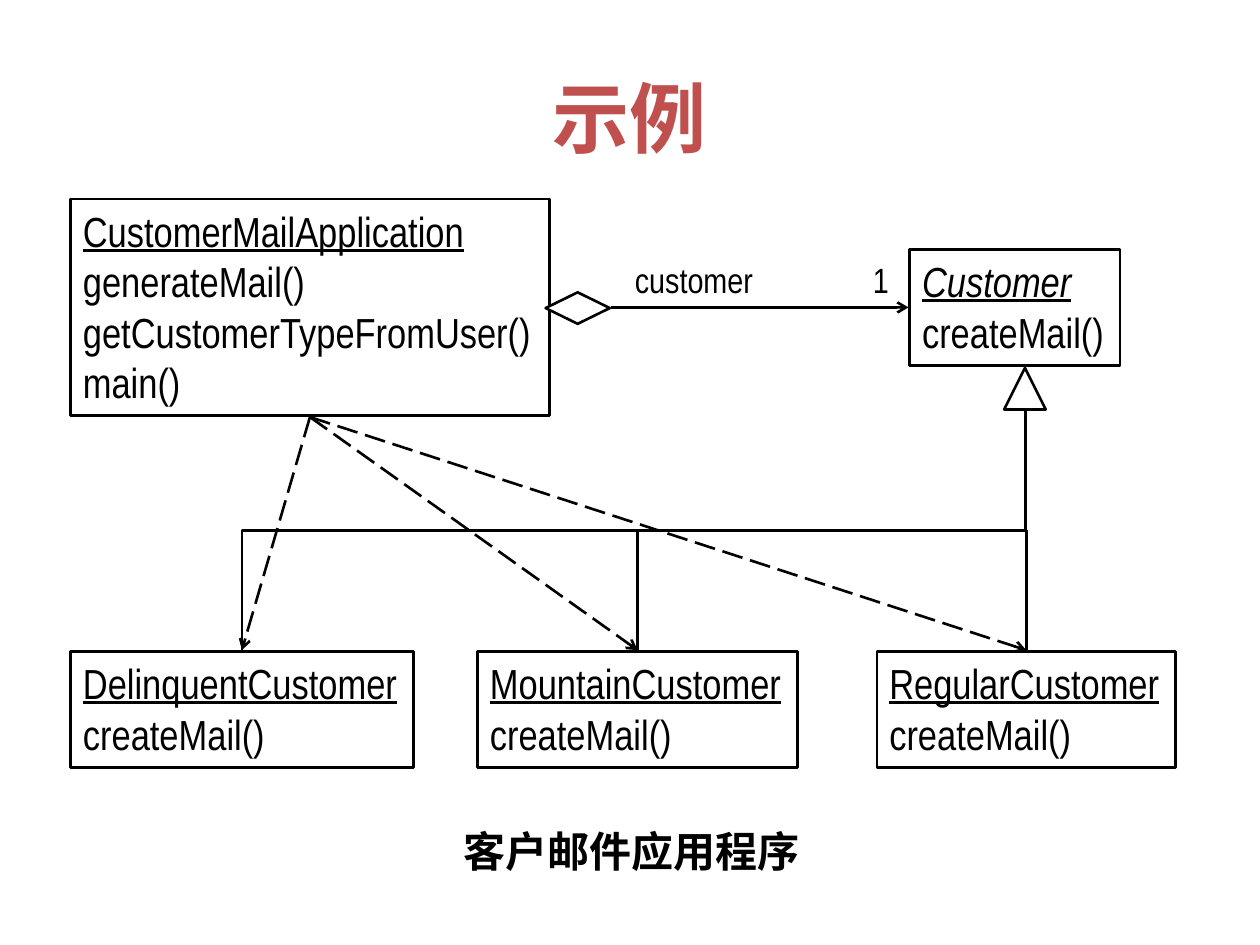
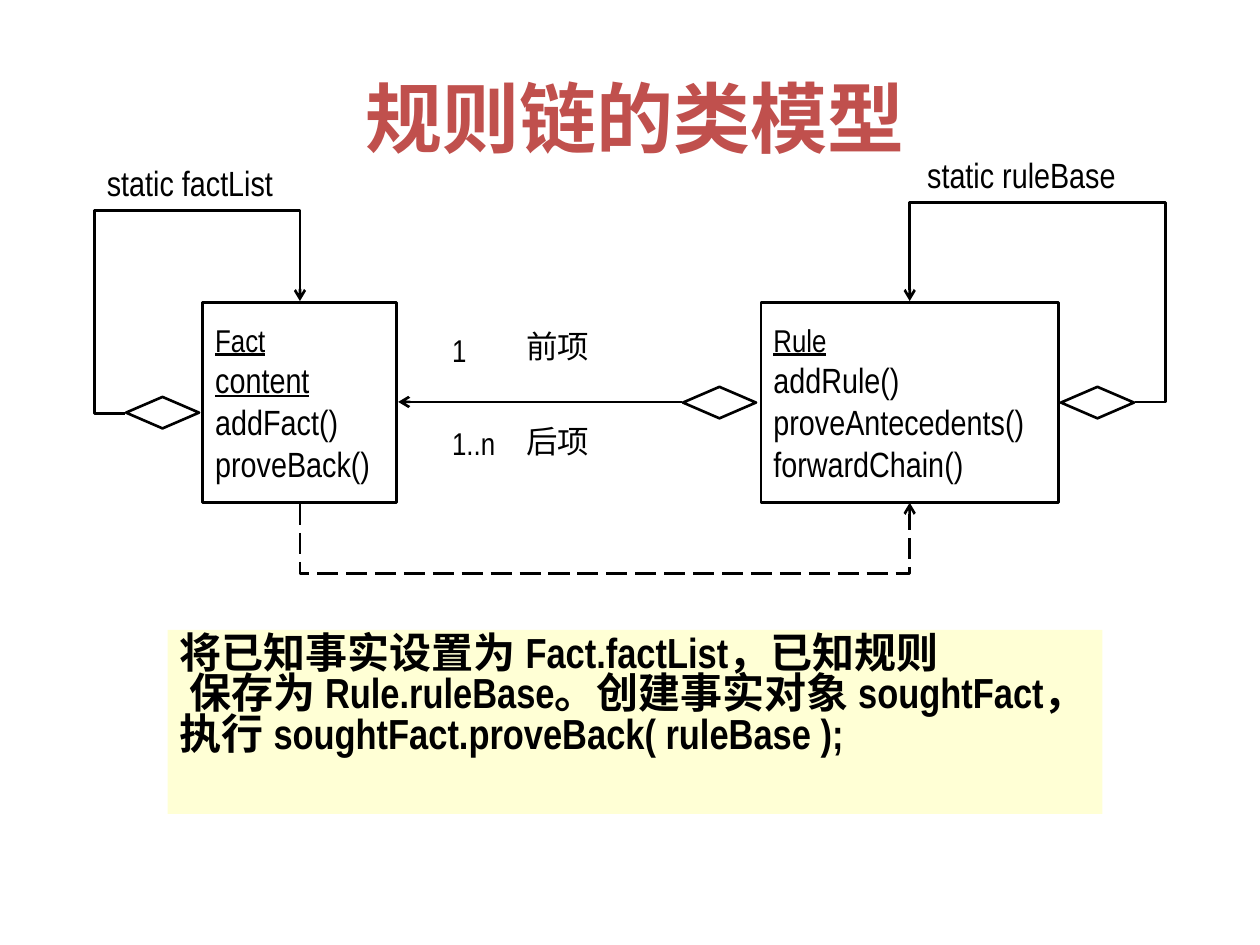
import pptx
import pptx.util
import pptx.dml.color
import pptx.enum.dml
import pptx.enum.shapes
import pptx.enum.text
import pptx.oxml.ns
import pptx.oxml.xmlchemy

Inches = pptx.util.Inches
Shape = pptx.enum.shapes.MSO_SHAPE
Connector = pptx.enum.shapes.MSO_CONNECTOR
Anchor = pptx.enum.text.MSO_ANCHOR
qn = pptx.oxml.ns.qn
new_element = pptx.oxml.xmlchemy.OxmlElement

COLORS = {"title": "C0504D", "ink": "000000", "paper": "FFFFFF", "note": "FFFFD5"}
NARROW = "Arial Narrow"
LINE_WIDTH = 1.5

MAIL_TITLE = ("示例", 9)
MAIL_APPLICATION = (
    (0.56, 1.58, 3.8, 1.72),
    ["CustomerMailApplication", "generateMail()", "getCustomerTypeFromUser()", "main()"],
)
CUSTOMER = ((7.22, 1.98, 1.67, 0.92), ["Customer", "createMail()"])
CUSTOMER_TYPES = [("DelinquentCustomer", 0.56, 2.72), ("MountainCustomer", 3.79, 2.54),
                  ("RegularCustomer", 6.96, 2.37)]
TYPES_TOP, TYPES_HEIGHT = 5.17, 0.92
MAIL_LABELS = [("customer", (4.94, 2, 1.14, 0.43)), ("1", (6.83, 2, 0.33, 0.43))]
MAIL_CAPTION = ("客户邮件应用程序", (3.58, 6.5, 3, 0.5))

CHAIN_TITLE = ("规则链的类模型", 9.08)
RULE = ((6.04, 2.4, 2.36, 1.59), ["Rule", "addRule()", "proveAntecedents()", "forwardChain()"])
FACT = ((1.61, 2.4, 1.54, 1.59), ["Fact", "content", "addFact()", "proveBack()"])
CHAIN_DIAMONDS = [(5.42, 3.07), (1, 3.15), (8.42, 3.07)]
CHAIN_LABELS = [
    ("前项", (4.08, 2.55, 0.7, 0.4), 18),
    ("后项", (4.08, 3.3, 0.7, 0.4), 18),
    ("static factList", (0.75, 1.23, 1.67, 0.43), 20),
    ("static ruleBase", (7.26, 1.17, 1.82, 0.43), 20),
    ("1", (3.49, 2.58, 0.32, 0.4), 18),
    ("1..n", (3.49, 3.32, 0.56, 0.4), 18),
]
CHAIN_NOTE = (
    (1.33, 5, 7.42, 1.46),
    ["将已知事实设置为 Fact.factList，已知规则",
     " 保存为 Rule.ruleBase。创建事实对象 soughtFact，",
     "执行 soughtFact.proveBack( ruleBase );"],
)


def rgb(name):
    return pptx.dml.color.RGBColor.from_string(COLORS[name])


def inches(values):
    return [Inches(value) for value in values]


def center_x(place):
    return place[0] + place[2] / 2


def write(shape, lines, size, font=NARROW, color="ink", bold=False, wrap=False,
          anchor=Anchor.TOP, align=pptx.enum.text.PP_ALIGN.LEFT, spacing=None):
    frame = shape.text_frame
    frame.text = "\n".join(lines)
    frame.word_wrap = wrap
    frame.vertical_anchor = anchor
    for paragraph in frame.paragraphs:
        paragraph.alignment = align
        paragraph.line_spacing = spacing
        for run in paragraph.runs:
            run.font.name = font
            run.font.size = pptx.util.Pt(size)
            run.font.bold = bold
            run.font.color.rgb = rgb(color)
    return [paragraph.runs[0].font for paragraph in frame.paragraphs]


def label(slide, text, place, size, **style):
    write(slide.shapes.add_textbox(*inches(place)), [text], size, **style)


def title(slide, text, width):
    label(slide, text, (0.5, 0.3, width, 1.25), 44, font="Calibri", color="title", bold=True,
          wrap=True, anchor=Anchor.MIDDLE, align=pptx.enum.text.PP_ALIGN.CENTER)


def outline(slide, kind, place, fill=None, line="ink"):
    shape = slide.shapes.add_shape(kind, *inches(place))
    shape.shadow.inherit = False
    if fill:
        shape.fill.solid()
        shape.fill.fore_color.rgb = rgb(fill)
    else:
        shape.fill.background()
    if line:
        shape.line.color.rgb = rgb(line)
        shape.line.width = pptx.util.Pt(LINE_WIDTH)
    else:
        shape.line.fill.background()
    return shape


def class_box(slide, place, lines, size=24, underlined=1, **style):
    fonts = write(outline(slide, Shape.RECTANGLE, place), lines, size, **style)
    for font in fonts[:underlined]:
        font.underline = True
    return fonts[0]


def link(slide, start, end, kind=Connector.STRAIGHT, arrow=True, dashed=False):
    connector = slide.shapes.add_connector(kind, *inches((*start, *end)))
    connector.line.color.rgb = rgb("ink")
    connector.line.width = pptx.util.Pt(LINE_WIDTH)
    if dashed:
        connector.line.dash_style = pptx.enum.dml.MSO_LINE.LONG_DASH
    properties = connector._element.spPr
    if arrow:
        tail = new_element("a:tailEnd")
        tail.set("type", "arrow")
        properties.find(qn("a:ln")).append(tail)
    properties.append(new_element("a:effectLst"))
    return properties


def elbow(slide, start, end, bends, vertical=False, **style):
    dx, dy = end[0] - start[0], end[1] - start[1]
    middle_x, middle_y = (start[0] + end[0]) / 2, (start[1] + end[1]) / 2
    across, down = (dy, -dx) if vertical else (dx, dy)
    properties = link(slide, (middle_x - across / 2, middle_y - down / 2),
                      (middle_x + across / 2, middle_y + down / 2), Connector.ELBOW, **style)
    if vertical:
        properties.find(qn("a:xfrm")).set("rot", "5400000")
        fractions = [(bends[0] - start[1]) / dy]
    else:
        fractions = [(bend - origin) / span
                     for bend, origin, span in zip(bends, start, (dx, dy))]
    geometry = properties.find(qn("a:prstGeom"))
    geometry.set("prst", f"bentConnector{len(bends) + 2}")
    adjustments = geometry.find(qn("a:avLst"))
    for number, fraction in enumerate(fractions, 1):
        guide = new_element("a:gd")
        guide.set("name", f"adj{number}")
        guide.set("fmla", f"val {round(fraction * 100000)}")
        adjustments.append(guide)


def mail_slide(slide):
    title(slide, *MAIL_TITLE)
    class_box(slide, *MAIL_APPLICATION)
    class_box(slide, *CUSTOMER).italic = True
    outline(slide, Shape.ISOSCELES_TRIANGLE, (7.97, 2.92, 0.33, 0.33))
    for name, left, width in CUSTOMER_TYPES:
        place = (left, TYPES_TOP, width, TYPES_HEIGHT)
        class_box(slide, place, [name, "createMail()"])
        target = (center_x(place), TYPES_TOP - 0.01)
        elbow(slide, (8.14, 3.26), target, [4.21], vertical=True, arrow=False)
        link(slide, (center_x(MAIL_APPLICATION[0]), 3.31), target, dashed=True)
    outline(slide, Shape.FLOWCHART_DECISION, (4.33, 2.32, 0.51, 0.25), "paper")
    link(slide, (4.85, 2.44), (7.21, 2.44))
    for text, place in MAIL_LABELS:
        label(slide, text, place, 20)
    label(slide, *MAIL_CAPTION, 24, font="Arial", bold=True, wrap=True)


def chain_slide(slide):
    title(slide, *CHAIN_TITLE)
    for (place, lines), underlined in ((RULE, 1), (FACT, 2)):
        name = class_box(slide, place, lines, 20, underlined, anchor=Anchor.MIDDLE)
        name.size = pptx.util.Pt(18)
    for left, top in CHAIN_DIAMONDS:
        outline(slide, Shape.DIAMOND, (left, top, 0.58, 0.25), "paper")
    rule_x, fact_x = center_x(RULE[0]), center_x(FACT[0])
    link(slide, (5.41, 3.19), (3.16, 3.19))
    elbow(slide, (fact_x, 4), (rule_x, 3.99), [4.56], vertical=True, dashed=True)
    elbow(slide, (9.01, 3.19), (rule_x, 2.39), [9.25, 1.61])
    elbow(slide, (0.99, 3.28), (fact_x, 2.39), [0.75, 1.67])
    for text, place, size in CHAIN_LABELS:
        label(slide, text, place, size)
    place, lines = CHAIN_NOTE
    note = outline(slide, Shape.RECTANGLE, place, "note", None)
    write(note, lines, 24, bold=True, wrap=True, spacing=0.8)


def main():
    deck = pptx.Presentation()
    deck.slide_width, deck.slide_height = Inches(10), Inches(7.5)
    for build in (mail_slide, chain_slide):
        build(deck.slides.add_slide(deck.slide_layouts[6]))
    deck.save("out.pptx")


if __name__ == "__main__":
    main()
